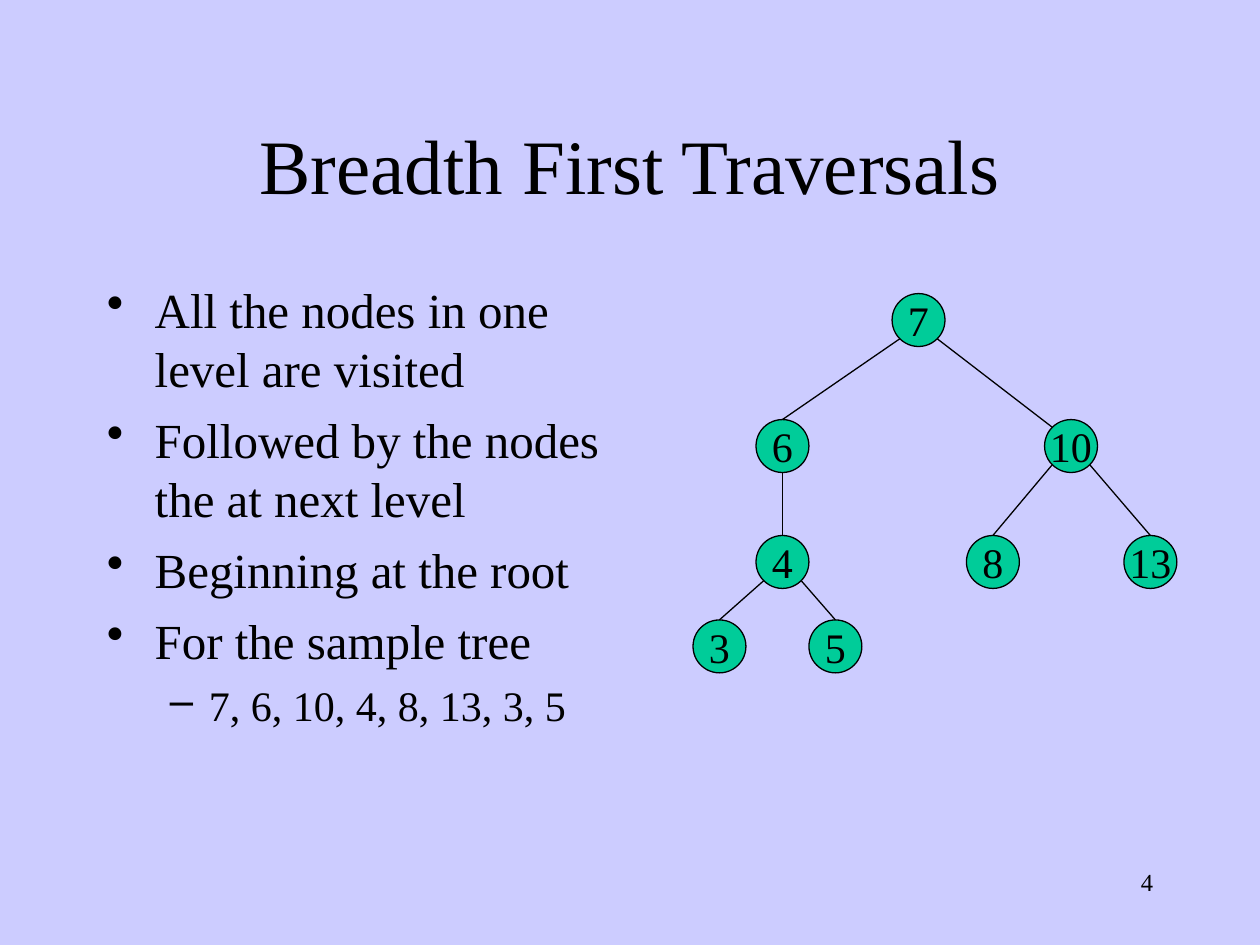
"""Build the slide on breadth first traversals with its sample tree."""
from lxml import etree
from pptx import Presentation
from pptx.dml.color import RGBColor
from pptx.enum import shapes, text
from pptx.oxml import ns
from pptx.util import Inches, Pt

BLACK = RGBColor(0, 0, 0)
GREEN = RGBColor(0x00, 0xCC, 0x99)
LILAC = RGBColor(0xCC, 0xCC, 0xFF)
FONT = "Times New Roman"
LEFT, MID, RIGHT = (text.PP_ALIGN.LEFT, text.PP_ALIGN.CENTER,
                    text.PP_ALIGN.RIGHT)

TITLE = "Breadth First Traversals"
NUMBER = "4"
POINTS = [
    (0, "All the nodes in one level are visited"),
    (0, "Followed by the nodes the at next level"),
    (0, "Beginning at the root"),
    (0, "For the sample tree"),
    (1, "7, 6, 10, 4, 8, 13, 3, 5"),
]
LEVELS = [
    {"size": 28, "before": 7, "mark": "•", "left": 0.38, "hang": 0.38},
    {"size": 24, "before": 6, "mark": "–", "left": 0.81, "hang": 0.31},
]
ROWS = [2.33, 3.33, 4.25, 4.92]
NODES = {
    "7": (7.08, 0), "6": (6, 1), "3": (5.5, 3), "5": (6.42, 3),
    "4": (6, 2), "10": (8.29, 1), "8": (7.67, 2), "13": (8.92, 2),
}
SIZE = 0.42
DIAG = 0.15
SIDES = {
    "top": (0, -SIZE / 2), "bottom": (0, SIZE / 2),
    "low left": (-DIAG, DIAG), "low right": (DIAG, DIAG),
    "high left": (-DIAG, -DIAG),
}
EDGES = [
    ("7", "low left", "6", "top"),
    ("7", "low right", "10", "high left"),
    ("6", "bottom", "4", "top"),
    ("4", "low left", "3", "top"),
    ("4", "low right", "5", "top"),
    ("10", "low left", "8", "top"),
    ("10", "low right", "13", "top"),
]


def style(item, **form):
    for name, value in form.items():
        setattr(item, name, value)


def write(para, words, size, align):
    para.alignment = align
    run = para.add_run()
    run.text = words
    style(run.font, name=FONT, size=Pt(size))
    run.font.color.rgb = BLACK


def add_text(slide, box, words, size, align, anchor):
    frame = slide.shapes.add_textbox(*map(Inches, box)).text_frame
    style(frame, word_wrap=True, vertical_anchor=anchor)
    if words:
        write(frame.paragraphs[0], words, size, align)
    return frame


def add_points(slide):
    frame = add_text(slide, (0.75, 2.17, 4.17, 4.5), "", 28, LEFT,
                     text.MSO_ANCHOR.TOP)
    for rank, (level, words) in enumerate(POINTS):
        form = LEVELS[level]
        para = frame.add_paragraph() if rank else frame.paragraphs[0]
        write(para, words, form["size"], LEFT)
        style(para, level=level, space_before=Pt(form["before"]))
        props = para._p.get_or_add_pPr()
        props.set("marL", str(Inches(form["left"])))
        props.set("indent", str(-Inches(form["hang"])))
        etree.SubElement(props, ns.qn("a:buChar"), char=form["mark"])


def add_node(slide, label, left, row):
    node = slide.shapes.add_shape(
        shapes.MSO_SHAPE.OVAL,
        *map(Inches, (left, ROWS[row], SIZE, SIZE)))
    node.shadow.inherit = False
    node.fill.solid()
    node.fill.fore_color.rgb = GREEN
    node.line.color.rgb = BLACK
    node.line.width = Pt(0.75)
    style(node.text_frame, word_wrap=False,
          vertical_anchor=text.MSO_ANCHOR.MIDDLE)
    write(node.text_frame.paragraphs[0], label, 24, MID)
    return node


def spot(label, side):
    left, row = NODES[label]
    right, down = SIDES[side]
    return (Inches(left + SIZE / 2 + right),
            Inches(ROWS[row] + SIZE / 2 + down))


def add_edge(slide, nodes, parent, start, child, end):
    edge = slide.shapes.add_connector(
        shapes.MSO_CONNECTOR.STRAIGHT, *spot(parent, start),
        *spot(child, end))
    if end == "top":
        edge.end_connect(nodes[child], 0)
    edge.line.color.rgb = BLACK
    edge.line.width = Pt(0.75)
    etree.SubElement(edge._element.spPr, ns.qn("a:effectLst"))


def main():
    deck = Presentation()
    style(deck, slide_width=Inches(10), slide_height=Inches(7.5))
    slide = deck.slides.add_slide(deck.slide_layouts[6])
    slide.background.fill.solid()
    slide.background.fill.fore_color.rgb = LILAC
    add_text(slide, (7.17, 6.83, 2.08, 0.5), NUMBER, 14, RIGHT,
             text.MSO_ANCHOR.TOP)
    add_text(slide, (0.75, 0.67, 8.5, 1.25), TITLE, 44, MID,
             text.MSO_ANCHOR.MIDDLE)
    add_points(slide)
    nodes = {label: add_node(slide, label, *place)
             for label, place in NODES.items()}
    for edge in EDGES:
        add_edge(slide, nodes, *edge)
    deck.save("out.pptx")


if __name__ == "__main__":
    main()
